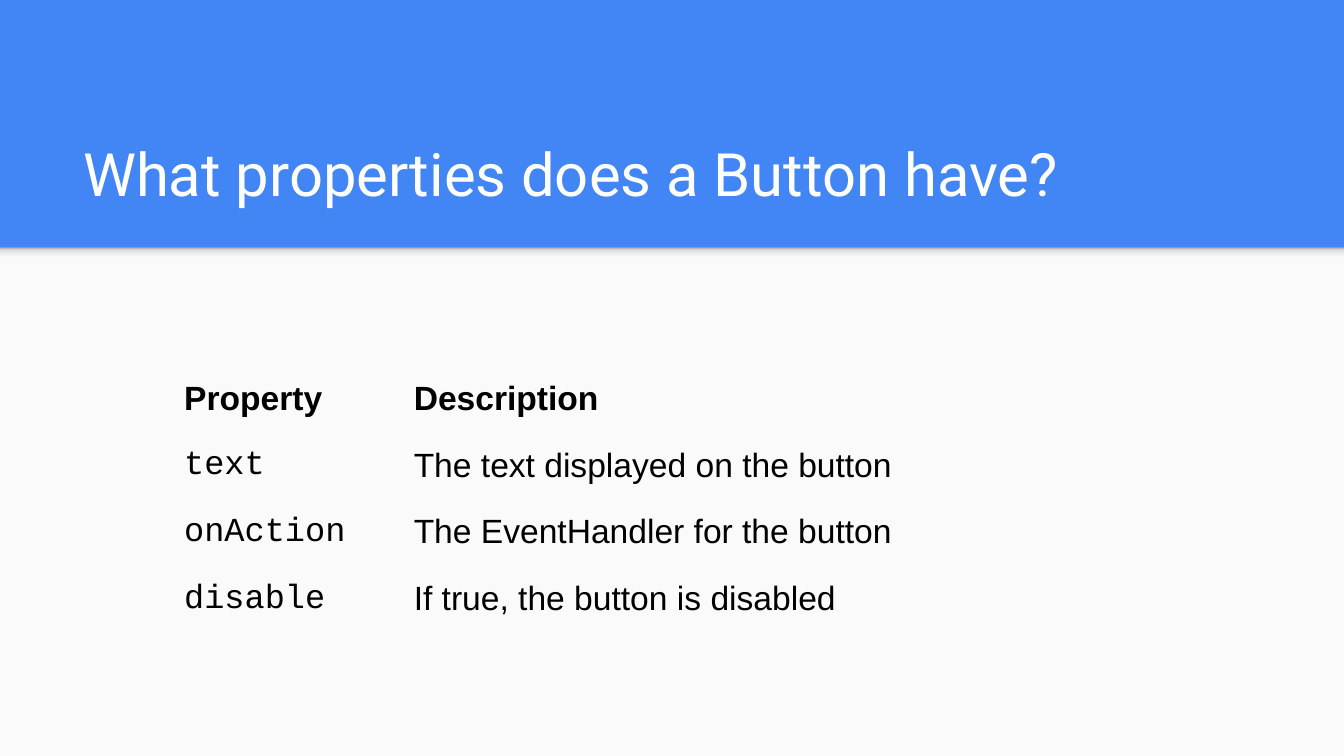
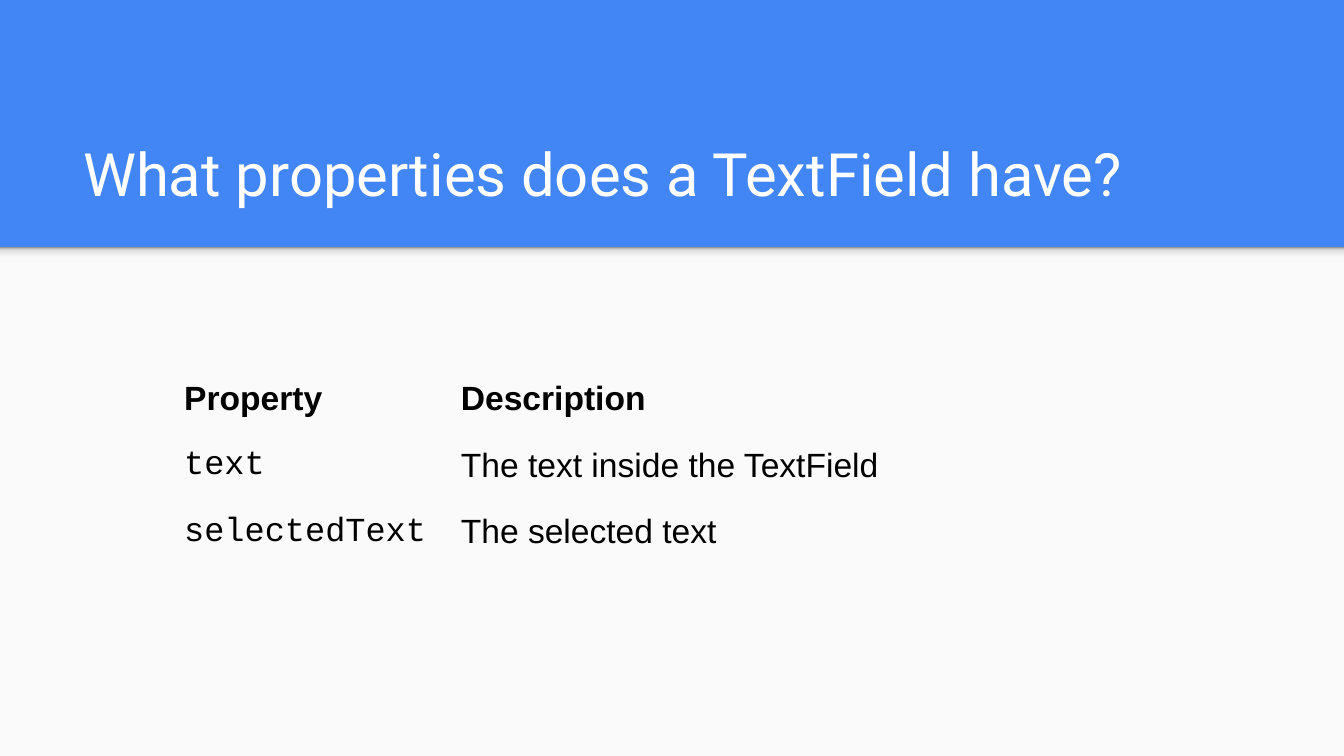
from lxml.etree import SubElement
from pptx import Presentation
from pptx.dml.color import RGBColor
from pptx.enum.shapes import MSO_SHAPE
from pptx.enum.text import MSO_ANCHOR
from pptx.oxml.ns import qn
from pptx.util import Cm, Pt

BLUE = RGBColor(0x42, 0x85, 0xF4)
PANEL = RGBColor(0xFA, 0xFA, 0xFA)
WHITE = RGBColor(0xFF, 0xFF, 0xFF)
BLACK = RGBColor(0x00, 0x00, 0x00)
EDGE_STOPS = [(0, "F9F9F9"), (36, "F9F9F9"), (80, "DEDEDE"), (100, "999999")]

TITLE_FONT, TEXT_FONT, CODE_FONT = "Roboto", "Arial", "Courier New"
PLAIN_TABLE_STYLE = "{2D5ABB26-0587-4C30-8999-92F81FD0307C}"

PAGE_WIDTH, PAGE_HEIGHT = Cm(25.4), Cm(14.29)
BAND_HEIGHT = Cm(4.67)
EDGE_HEIGHT = Cm(0.3)
INSET = Cm(0.25)
TABLE_WIDTH = Cm(17.7)
ROW_HEIGHT = Cm(1.07)


class PropertyDeck:
    """Holds the shared style and the slide being filled."""

    def __init__(self):
        self.deck = Presentation()
        self.deck.slide_width, self.deck.slide_height = PAGE_WIDTH, PAGE_HEIGHT
        self.page = None

    def add_page(self, title):
        self.page = self.deck.slides.add_slide(self.deck.slide_layouts[6])
        background = self.page.background.fill
        background.solid()
        background.fore_color.rgb = BLUE
        panel = self.add_strip(BAND_HEIGHT, PAGE_HEIGHT - BAND_HEIGHT)
        panel.fill.solid()
        panel.fill.fore_color.rgb = PANEL
        self.add_band_edge()
        self.add_title(title)

    def add_strip(self, top, height):
        strip = self.page.shapes.add_shape(
            MSO_SHAPE.RECTANGLE, 0, top, PAGE_WIDTH, height)
        strip.shadow.inherit = False
        strip.line.fill.background()
        return strip

    def add_band_edge(self):
        """Draw the soft shade below the band, darkest at its top."""
        edge = self.add_strip(BAND_HEIGHT, EDGE_HEIGHT)
        edge.fill.gradient()
        edge.fill.gradient_angle = 90
        stops = edge._element.spPr.find(f".//{qn('a:gsLst')}")
        stops.clear()
        for percent, colour in EDGE_STOPS:
            stop = SubElement(stops, qn("a:gs"), pos=str(percent * 1000))
            SubElement(stop, qn("a:srgbClr"), val=colour)

    def add_title(self, text):
        box = self.page.shapes.add_textbox(Cm(1.32), Cm(2.06), Cm(22.83), Cm(2.13))
        frame = box.text_frame
        frame.word_wrap = True
        frame.vertical_anchor = MSO_ANCHOR.BOTTOM
        self.set_insets(frame)
        self.set_text(frame, text, TITLE_FONT, 32, WHITE)

    def add_table(self, first_width, rows):
        frame = self.page.shapes.add_table(
            len(rows), 2, Cm(3.23), Cm(6.93), TABLE_WIDTH, ROW_HEIGHT * len(rows))
        table = frame.table
        table.first_row = table.horz_banding = False
        table._tbl.tblPr.find(qn("a:tableStyleId")).text = PLAIN_TABLE_STYLE
        table.columns[0].width = first_width
        table.columns[1].width = TABLE_WIDTH - first_width
        for row_index, row in enumerate(rows):
            table.rows[row_index].height = ROW_HEIGHT
            is_header = row_index == 0
            for column_index, text in enumerate(row):
                cell = table.cell(row_index, column_index)
                cell.fill.background()
                self.set_insets(cell)
                is_code = column_index == 0 and not is_header
                self.set_text(cell.text_frame, text,
                              CODE_FONT if is_code else TEXT_FONT, 18, BLACK, is_header)

    @staticmethod
    def set_insets(holder):
        holder.margin_left = holder.margin_right = INSET
        holder.margin_top = holder.margin_bottom = INSET

    @staticmethod
    def set_text(frame, text, font_name, size, colour, bold=False):
        paragraph = frame.paragraphs[0]
        paragraph.text = text
        font = paragraph.font
        font.name, font.size, font.bold = font_name, Pt(size), bold
        font.color.rgb = colour


def main():
    builder = PropertyDeck()
    header = ("Property", "Description")

    builder.add_page("What properties does a Button have?")
    builder.add_table(Cm(4.34), [
        header,
        ("text", "The text displayed on the button"),
        ("onAction", "The EventHandler for the button"),
        ("disable", "If true, the button is disabled"),
    ])

    builder.add_page("What properties does a TextField have?")
    builder.add_table(Cm(5.23), [
        header,
        ("text", "The text inside the TextField"),
        ("selectedText", "The selected text"),
    ])

    builder.deck.save("out.pptx")


if __name__ == "__main__":
    main()
